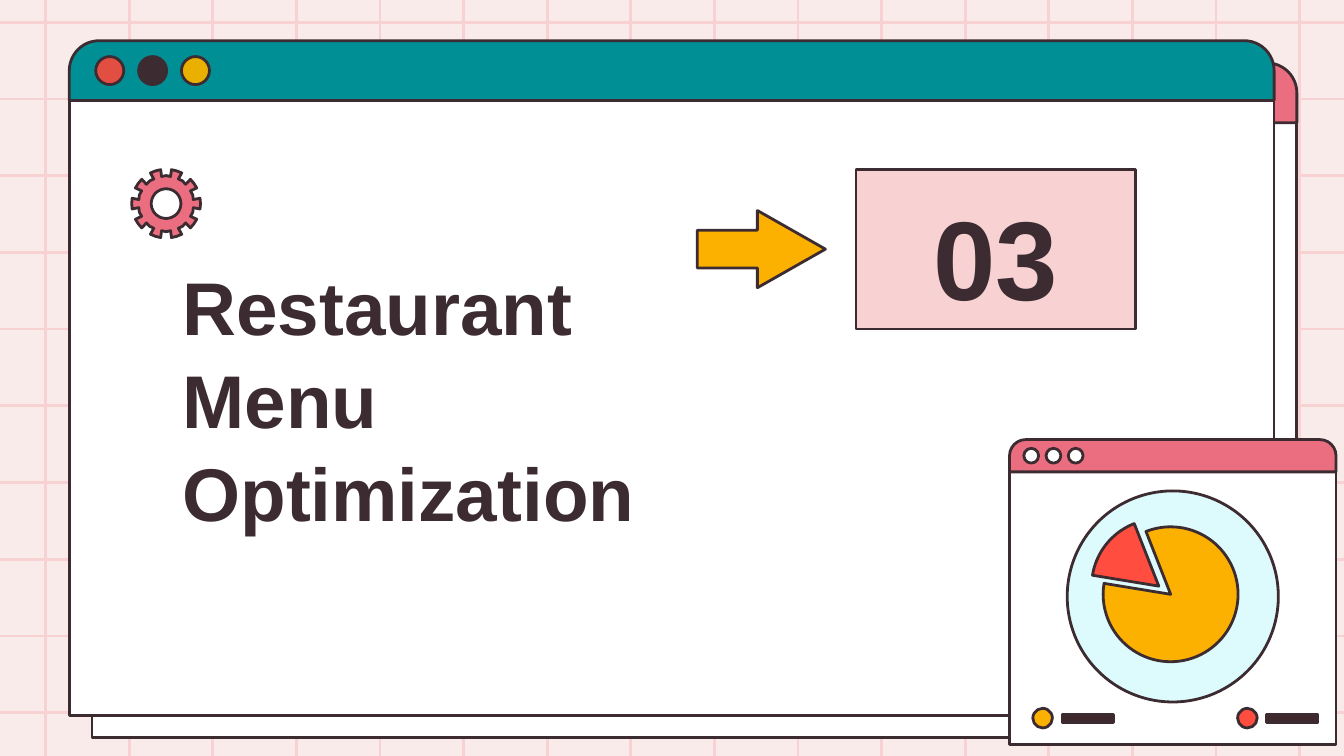
import math

import lxml.etree
import pptx
import pptx.dml.color
import pptx.enum.shapes
import pptx.enum.text
import pptx.oxml.ns
import pptx.util

Cm = pptx.util.Cm
Pt = pptx.util.Pt
rgb = pptx.dml.color.RGBColor.from_string
KIND = pptx.enum.shapes.MSO_SHAPE

DARK = "3C2C31"
BLUSH = "F8D2D2"
PINK = "EB6E80"
WHITE = "FFFFFF"
AMBER = "FCB100"
RED = "FF4D3F"


def paint(shape, fill):
    """Give a shape its flat fill and the dark outline shared by the whole slide."""
    shape.shadow.inherit = False
    shape.fill.solid()
    shape.fill.fore_color.rgb = rgb(fill)
    shape.line.color.rgb = rgb(DARK)
    shape.line.width = Pt(1.5)
    return shape


def polar_points(x, y, radii_and_angles):
    """Turn (radius in cm, clockwise degrees) pairs around x, y into slide points."""
    return [(Cm(x + radius * math.cos(math.radians(angle))),
             Cm(y + radius * math.sin(math.radians(angle))))
            for radius, angle in radii_and_angles]


deck = pptx.Presentation()
deck.slide_width = Cm(25.4)
deck.slide_height = Cm(14.29)
slide = deck.slides.add_slide(deck.slide_layouts[6])
shapes = slide.shapes
slide.background.fill.solid()
slide.background.fill.fore_color.rgb = rgb("FAEBEB")

# Background grid
columns = [(0.86 + 1.58 * i, 14.78, 0.86 + 1.58 * i, -0.91) for i in range(16)]
rows = [(-0.56, 0.42 + 1.45 * i, 25.96, 0.42 + 1.45 * i) for i in range(10)]
for ends in columns + rows:
    grid_line = shapes.add_connector(
        pptx.enum.shapes.MSO_CONNECTOR.STRAIGHT, *[Cm(value) for value in ends])
    grid_line.line.color.rgb = rgb(BLUSH)
    grid_line.line.width = Pt(1.5)
    lxml.etree.SubElement(grid_line._element.spPr, pptx.oxml.ns.qn("a:effectLst"))

# Windows: left, top, width, header height, body height, header fill,
# then button inset, size, pitch and fills
traffic_lights = ("E24E42", DARK, "E9B000")
windows = [
    (1.74, 1.19, 22.77, 1.13, 11.62, PINK, 0.5, 0.53, 0.81, traffic_lights),
    (1.31, 0.77, 22.77, 1.13, 11.62, "008F95", 0.5, 0.53, 0.81, traffic_lights),
    (19.08, 8.31, 6.17, 0.61, 5.16, PINK, 0.27, 0.28, 0.42, (WHITE,) * 3),
]
for left, top, width, header, body, header_fill, inset, size, pitch, buttons in windows:
    paint(shapes.add_shape(KIND.RECTANGLE, Cm(left), Cm(top + header),
                           Cm(width), Cm(body)), WHITE)
    title_bar = shapes.add_shape(KIND.ROUND_2_SAME_RECTANGLE, Cm(left), Cm(top),
                                 Cm(width), Cm(header))
    title_bar.adjustments[0] = 0.5
    paint(title_bar, header_fill)
    for i, button_fill in enumerate(buttons):
        paint(shapes.add_shape(KIND.OVAL, Cm(left + inset + pitch * i),
                               Cm(top + (header - size) / 2), Cm(size), Cm(size)),
              button_fill)

# Title and section number
title = shapes.add_textbox(Cm(3.2), Cm(6.25), Cm(10.97), Cm(4.14))
number = paint(shapes.add_shape(KIND.RECTANGLE, Cm(16.18), Cm(3.2),
                                Cm(5.28), Cm(3.02)), BLUSH)
ANCHOR = pptx.enum.text.MSO_ANCHOR
ALIGN = pptx.enum.text.PP_ALIGN
for holder, wording, points, anchor, align, spacing in [
    (title, "Restaurant Menu Optimization", 40, ANCHOR.BOTTOM, ALIGN.LEFT, 1.04),
    (number, "03", 60, ANCHOR.MIDDLE, ALIGN.CENTER, 1.1),
]:
    frame = holder.text_frame
    frame.word_wrap = True
    frame.vertical_anchor = anchor
    frame.margin_left = frame.margin_right = Cm(0.25)
    frame.margin_top = frame.margin_bottom = Cm(0.25)
    paragraph = frame.paragraphs[0]
    paragraph.alignment = align
    paragraph.line_spacing = spacing
    run = paragraph.add_run()
    run.text = wording
    run.font.name = "Arial"
    run.font.size = Pt(points)
    run.font.bold = True
    run.font.color.rgb = rgb(DARK)

# Arrow towards the number
arrow = shapes.add_shape(KIND.RIGHT_ARROW, Cm(13.18), Cm(3.98), Cm(2.42), Cm(1.46))
arrow.adjustments[0] = 0.49
arrow.adjustments[1] = 0.88
paint(arrow, AMBER)

# Pie with one slice pulled out
slice_start, slice_end = 189.3, 248.6
paint(shapes.add_shape(KIND.OVAL, Cm(20.17), Cm(9.28), Cm(3.99), Cm(3.99)), "DDFBFC")
pie = shapes.add_shape(KIND.PIE, Cm(20.85), Cm(9.96), Cm(2.55), Cm(2.55))
pie.adjustments[0] = slice_end * 0.6  # the preset counts 60000ths of a degree
pie.adjustments[1] = slice_start * 0.6
paint(pie, AMBER)
arc_steps = 24
arc = [(1.27, slice_start + (slice_end - slice_start) * i / arc_steps)
       for i in range(arc_steps + 1)]
slice_points = polar_points(21.9, 11.08, [(0, 0)] + arc)
pulled_slice = shapes.build_freeform(*slice_points[0])
pulled_slice.add_line_segments(slice_points[1:], close=True)
paint(pulled_slice.convert_to_shape(), RED)

# Pie legend
for left, key_fill in [(19.52, AMBER), (23.39, RED)]:
    paint(shapes.add_shape(KIND.RECTANGLE, Cm(left + 0.55), Cm(13.5),
                           Cm(0.97), Cm(0.16)), "3E282C")
    paint(shapes.add_shape(KIND.OVAL, Cm(left), Cm(13.39), Cm(0.37), Cm(0.37)), key_fill)

# Gear: ten teeth around a round hole
tooth = [(0.52, -8.5), (0.65, -9), (0.65, 0), (0.65, 9), (0.52, 8.5), (0.53, 18)]
teeth = [(radius, angle + 36 * i) for i in range(10) for radius, angle in tooth]
hole = [(0.28, -angle) for angle in range(0, 360, 6)]
rim_points = polar_points(3.14, 3.85, teeth)
hole_points = polar_points(3.14, 3.85, hole)
gear = shapes.build_freeform(*rim_points[0])
gear.add_line_segments(rim_points[1:], close=True)
gear.move_to(*hole_points[0])
gear.add_line_segments(hole_points[1:], close=True)
paint(gear.convert_to_shape(), PINK)

deck.save("out.pptx")
